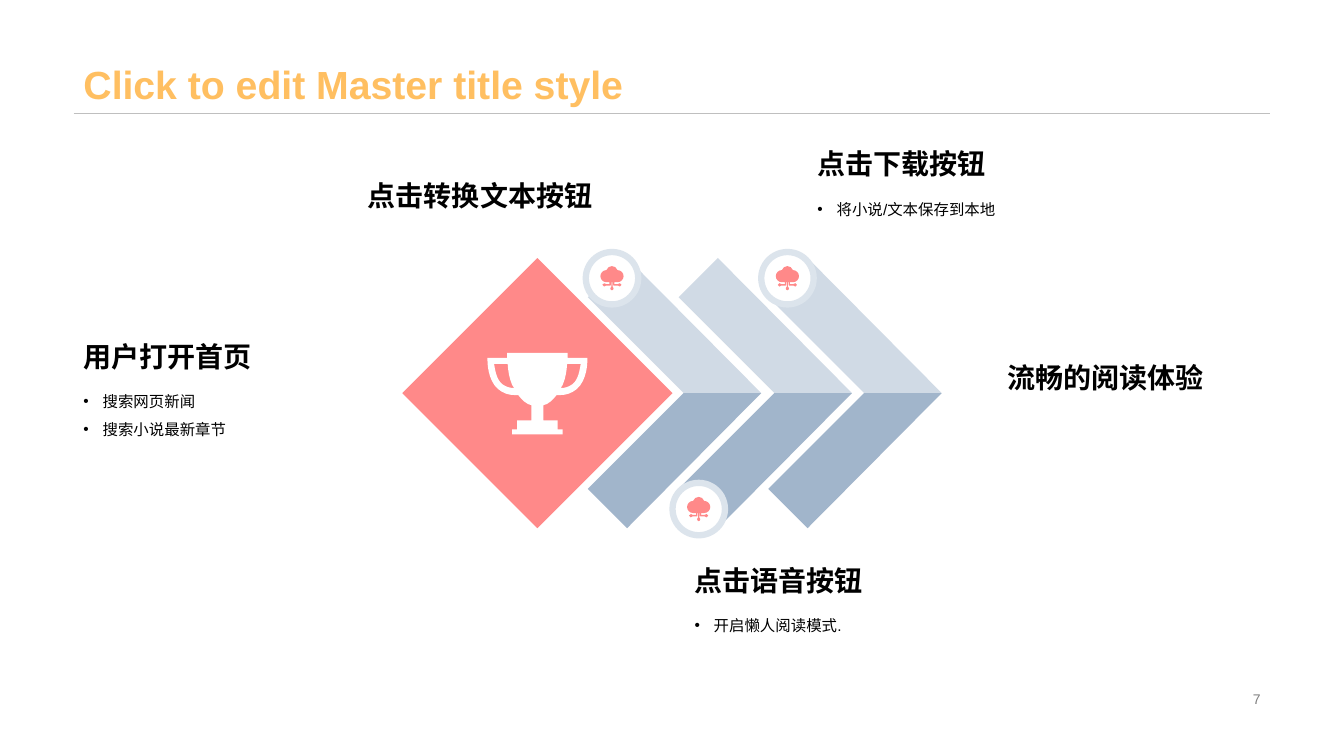
from lxml.etree import SubElement
from pptx import Presentation
from pptx.dml.color import RGBColor
from pptx.enum.shapes import MSO_CONNECTOR, MSO_SHAPE
from pptx.enum.text import MSO_ANCHOR, PP_ALIGN
from pptx.oxml.ns import qn
from pptx.util import Inches, Pt

GOLD = RGBColor(0xFF, 0xBF, 0x61)
CORAL = RGBColor(0xFF, 0x89, 0x89)
PALE = RGBColor(0xD0, 0xDA, 0xE5)
STEEL = RGBColor(0xA1, 0xB5, 0xCB)
RING = RGBColor(0xDC, 0xE4, 0xEC)
WHITE = RGBColor(0xFF, 0xFF, 0xFF)
BLACK = RGBColor(0, 0, 0)
GREY = RGBColor(0x80, 0x80, 0x80)
RULE = RGBColor(0xBF, 0xBF, 0xBF)
FONT = "Arial"

# Content: heading, bullets, left, top, width, body height, alignment
TITLE = "Click to edit Master title style"
PAGE = "7"
STEPS = [
    ("用户打开首页", ["搜索网页新闻", "搜索小说最新章节"],
     0.73, 3.27, 3.2, 1.16, PP_ALIGN.LEFT),
    ("流畅的阅读体验", [], 8.77, 3.48, 3.27, 0, PP_ALIGN.RIGHT),
    ("点击转换文本按钮", [], 3.55, 1.67, 2.6, 0, PP_ALIGN.LEFT),
    ("点击下载按钮", ["将小说/文本保存到本地"],
     8.01, 1.36, 2.4, 0.72, PP_ALIGN.LEFT),
    ("点击语音按钮", ["开启懒人阅读模式."],
     6.79, 5.49, 2.4, 0.72, PP_ALIGN.LEFT),
]
HEAD = 0.48

# Places of the chevrons and the round badges
MID = 3.9
BANDS = [5.83, 6.73, 7.62]
ARM = [(0, 95), (39, 134), (172, 0), (95, 0)]
DISCS = [(5.81, 2.5), (6.67, 4.79), (7.55, 2.5)]
DISC = 0.52

# Right halves of the icons, in hundredths of an inch from the centre line:
# two numbers make a line, six a curve
CLOUD = [
    (0, 0), (2.5, 0, 4.5, 1.5, 5.5, 4), (9, 4, 11.5, 7, 11.5, 10),
    (11.5, 13, 9, 16, 5.5, 16), (2.5, 16), (2.5, 17.8), (6, 17.8),
    (6.2, 17.3, 7, 17, 7.8, 17), (9, 17, 9.5, 18, 9.5, 18.6),
    (9.5, 19.5, 9, 20.3, 7.8, 20.3), (7, 20.3, 6.2, 20, 6, 19.3),
    (1.7, 19.3), (1.2, 19.3, 1.2, 19, 1.2, 18.8), (1.2, 16), (0.6, 16),
    (0.6, 20.4), (1.2, 20.6, 1.6, 21.3, 1.6, 22), (1.6, 23, 1, 24, 0, 24),
]
CUP = [
    (0, 0), (30, 0), (30, 5), (49.5, 5), (49.5, 8),
    (49.5, 9, 49.5, 27, 39, 36), (34, 40, 29, 42, 22, 42), (19, 42),
    (15, 47, 11, 51, 6, 52), (6, 67), (20, 67), (20, 76),
    (25, 76), (25, 81), (0, 81),
]
HOLE = [
    (35, 31), (31, 34, 27, 35, 23, 35), (24, 34, 24, 33, 25, 32),
    (28, 25, 29, 18, 29.5, 11), (43, 11), (42, 16, 41, 26, 35, 31),
]

deck = Presentation()
deck.slide_width, deck.slide_height = Inches(13.33), Inches(7.5)
slide = deck.slides.add_slide(deck.slide_layouts[6])
shapes = slide.shapes


def pairs(part):
    return list(zip(part[::2], part[1::2]))


def flip(loop):
    """Mirror a loop about the centre line, walking it backwards."""
    dots = [pairs(part) for part in loop]
    x, y = dots[-1][-1]
    out = [(-x, y)]
    for n in range(len(dots) - 1, 0, -1):
        back = dots[n][-2::-1] + [dots[n - 1][-1]]
        out.append(tuple(v for x, y in back for v in (-x, y)))
    return out


def paint(shape, fill):
    shape.shadow.inherit = False
    shape.fill.solid()
    shape.fill.fore_color.rgb = fill
    shape.line.fill.background()


def draw(loops, left, top, fill):
    pen = None
    for loop in loops:
        dots = [(Inches(left + x / 100), Inches(top + y / 100))
                for part in loop for x, y in pairs(part)]
        if pen is None:
            pen = shapes.build_freeform(*dots[0])
        else:
            pen.move_to(*dots[0])
        pen.add_line_segments(dots[1:], close=True)
    shape = pen.convert_to_shape()
    paint(shape, fill)
    # Join each three points of a curve into one segment
    nodes = iter(list(shape._element.iter(qn("a:moveTo"), qn("a:lnTo"))))
    for part in sum(loops, []):
        first, *rest = [next(nodes) for _ in pairs(part)]
        if rest:
            first.tag = qn("a:cubicBezTo")
        for node in rest:
            first.append(node[0])
            node.getparent().remove(node)


def write(lines, box, size, color, bold=False, align=PP_ALIGN.LEFT,
          anchor=MSO_ANCHOR.BOTTOM, wrap=True, space=None, bullet=False):
    frame = shapes.add_textbox(*map(Inches, box)).text_frame
    frame.text = "\n".join(lines)
    frame.word_wrap = wrap
    frame.vertical_anchor = anchor
    for para in frame.paragraphs:
        para.alignment = align
        if space:
            para.line_spacing = space
        if bullet:
            props = para._p.get_or_add_pPr()
            props.set("marL", str(Inches(0.19)))
            props.set("indent", str(-Inches(0.19)))
            SubElement(props, qn("a:buFont")).set("typeface", FONT)
            SubElement(props, qn("a:buChar")).set("char", "•")
        for run in para.runs:
            font = run.font
            font.name, font.size, font.bold = FONT, Pt(size), bold
            font.color.rgb = color


# Title, rule and page number
rule = shapes.add_connector(MSO_CONNECTOR.STRAIGHT, Inches(0.73), Inches(1.12),
                            Inches(12.6), Inches(1.12))
rule.line.color.rgb = RULE
rule.line.width = Pt(0.5)
SubElement(rule._element.spPr, qn("a:effectLst"))
write([TITLE], (0.73, 0, 11.87, 1.12), 28, GOLD, bold=True, space=0.9)
write([PAGE], (9.42, 6.82, 3.18, 0.23), 10, GREY, align=PP_ALIGN.RIGHT,
      anchor=MSO_ANCHOR.MIDDLE)

# Chevrons: an upper and a lower arm each
for left in BANDS:
    for sign, fill in ((-1, PALE), (1, STEEL)):
        draw([[(x, sign * y) for x, y in ARM]], left, MID, fill)

# Diamond with the trophy
gem = shapes.add_shape(MSO_SHAPE.DIAMOND, Inches(3.99), Inches(2.56),
                       Inches(2.68), Inches(2.68))
paint(gem, CORAL)
draw([CUP + flip(CUP)[1:], HOLE, flip(HOLE)], 5.33, 3.5, WHITE)

# Round badges with a cloud
for left, top in DISCS:
    disc = shapes.add_shape(MSO_SHAPE.OVAL, Inches(left), Inches(top),
                            Inches(DISC), Inches(DISC))
    paint(disc, WHITE)
    disc.line.color.rgb = RING
    disc.line.width = Pt(4.5)
    draw([CLOUD + flip(CLOUD)[1:]], left + DISC / 2, top + 0.14, CORAL)

# Step headings and their bullets
for head, items, left, top, width, height, align in STEPS:
    write([head], (left, top, width, HEAD), 20, BLACK, bold=True,
          align=align, wrap=False)
    if items:
        write(items, (left, top + HEAD, width, height), 11, BLACK,
              anchor=MSO_ANCHOR.TOP, space=1.5, bullet=True)

deck.save("out.pptx")
